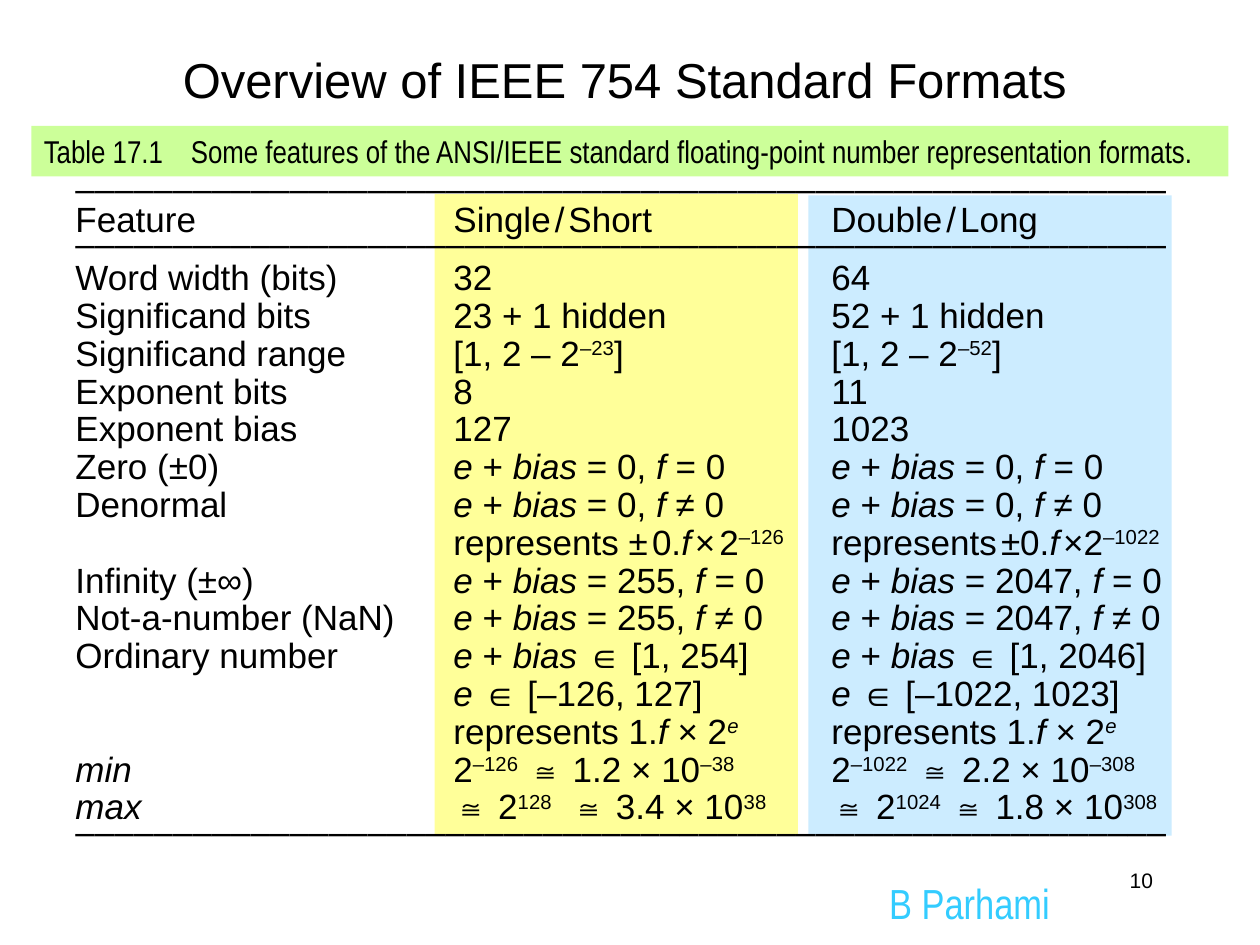
"""Build a slide that compares the IEEE 754 single and double formats."""
from itertools import groupby

from lxml import etree
from pptx import Presentation
from pptx import util as u
from pptx.dml.color import RGBColor
from pptx.enum import shapes, text
from pptx.oxml.ns import qn

CELL = u.Inches(10) // 120
RULE = "–" * 56
HEADER = ("Feature", "Single~/~Short", "Double~/~Long")
ROWS = [
    ("Word width (bits)", "32", "64"),
    ("Significand bits", "23 + 1 hidden", "52 + 1 hidden"),
    ("Significand range", "[1, 2 – 2^–23^]", "[1, 2 – 2^–52^]"),
    ("Exponent bits", "8", "11"),
    ("Exponent bias", "127", "1023"),
    ("Zero (±0)", "_e_ + _bias_ = 0, _f_ = 0", "_e_ + _bias_ = 0, _f_ = 0"),
    ("Denormal", "_e_ + _bias_ = 0, _f_ ≠ 0", "_e_ + _bias_ = 0, _f_ ≠ 0"),
    ("", "represents ±~0._f_~×~2^–126^", "represents~±0._f_~×2^–1022^"),
    ("Infinity (±∞)", "_e_ + _bias_ = 255, _f_ = 0", "_e_ + _bias_ = 2047, _f_ = 0"),
    ("Not-a-number (NaN)", "_e_ + _bias_ = 255, _f_ ≠ 0", "_e_ + _bias_ = 2047, _f_ ≠ 0"),
    ("Ordinary number", "_e_ + _bias_ ∈ [1, 254]", "_e_ + _bias_ ∈ [1, 2046]"),
    ("", "_e_ ∈ [–126, 127]", "_e_ ∈ [–1022, 1023]"),
    ("", "represents 1._f_ × 2^_e_^", "represents 1._f_ × 2^_e_^"),
    ("_min_", "2^–126^ ≅ 1.2 × 10^–38^", "2^–1022^ ≅ 2.2 × 10^–308^"),
    ("_max_", "≅ 2^128^  ≅ 3.4 × 10^38^", "≅ 2^1024^ ≅ 1.8 × 10^308^"),
]


def color(value):
    """Turn a hex string into a colour."""
    return RGBColor.from_string(value)


def grid(box):
    """Turn left, top, width and height in grid cells into lengths."""
    return [u.Emu(round(part * CELL)) for part in box]


def add_band(slide, box, fill):
    """Add a plain filled rectangle."""
    shape = slide.shapes.add_shape(shapes.MSO_SHAPE.RECTANGLE, *grid(box))
    shape.shadow.inherit = False
    shape.fill.solid()
    shape.fill.fore_color.rgb = color(fill)
    shape.line.fill.background()
    return shape


def set_font(paragraph, size, name="Arial", fill="000000"):
    """Set the font of a whole paragraph."""
    paragraph.font.size = u.Pt(size)
    paragraph.font.name = name
    paragraph.font.color.rgb = color(fill)


def add_tabs(paragraph, *columns):
    """Give a paragraph left tab stops at the given grid columns."""
    tabs = etree.SubElement(paragraph._p.get_or_add_pPr(), qn("a:tabLst"))
    for column in columns:
        etree.SubElement(tabs, qn("a:tab"), pos=str(column * CELL), algn="l")


def styled_pieces(markup):
    """Yield text with its style: _italic_, ^superscript^ and ~ for a thin space."""
    italic = raised = False
    letters = []
    for letter in markup:
        if letter == "_":
            italic = not italic
        elif letter == "^":
            raised = not raised
        else:
            letters.append((letter, (italic, raised, letter == "~")))
    for style, group in groupby(letters, key=lambda item: item[1]):
        yield "".join(item[0] for item in group).replace("~", " "), style


def fill_line(paragraph, markup, spacing):
    """Write one line of the comparison with its tab stops."""
    paragraph.line_spacing = spacing
    add_tabs(paragraph, 36, 72)
    set_font(paragraph, 20)
    for piece, (italic, raised, thin) in styled_pieces(markup):
        run = paragraph.add_run()
        run.text = piece
        if italic:
            run.font.italic = True
        if raised:
            run.font._element.set("baseline", "30000")
        if thin:
            run.font.size = u.Pt(8)


def add_title(slide, box, wording):
    """Place and format the title placeholder."""
    title = slide.shapes.title
    title.left, title.top, title.width, title.height = grid(box)
    frame = title.text_frame
    frame.text = wording
    frame.auto_size = text.MSO_AUTO_SIZE.NONE
    frame.vertical_anchor = text.MSO_ANCHOR.MIDDLE
    frame.paragraphs[0].alignment = text.PP_ALIGN.CENTER
    set_font(frame.paragraphs[0], 28)


def add_comparison(slide, box):
    """Add the coloured column bands and the tabbed comparison over them."""
    left, top, width, height = box
    add_band(slide, (left + 35.4, top + 1.5, 34.6, 61), "FFFF99")
    add_band(slide, (left + 71, top + 1.6, 34.6, 61), "CCECFF")
    frame = slide.shapes.add_textbox(*grid(box)).text_frame
    frame.word_wrap = True
    lines = [(RULE, 0.5), ("\t".join(HEADER), 0.8), (RULE, 0.5)]
    lines += [("\t".join(row), 0.9) for row in ROWS]
    lines.append((RULE, 0.5))
    for index, (markup, spacing) in enumerate(lines):
        paragraph = frame.add_paragraph() if index else frame.paragraphs[0]
        fill_line(paragraph, markup, spacing)


def add_caption(slide, box, number, wording):
    """Add the table caption on its green band."""
    frame = add_band(slide, box, "CCFF99").text_frame
    frame.word_wrap = True
    frame.vertical_anchor = text.MSO_ANCHOR.TOP
    paragraph = frame.paragraphs[0]
    paragraph.text = f"{number}\t{wording}"
    paragraph.alignment = text.PP_ALIGN.LEFT
    add_tabs(paragraph, 14)
    set_font(paragraph, 18, "Arial Narrow")


def add_label(slide, box, wording, alignment, **font):
    """Add a one-line label."""
    frame = slide.shapes.add_textbox(*grid(box)).text_frame
    frame.word_wrap = True
    paragraph = frame.paragraphs[0]
    paragraph.text = wording
    paragraph.alignment = alignment
    set_font(paragraph, **font)


def main():
    """Build and save the presentation."""
    presentation = Presentation()
    presentation.slide_width, presentation.slide_height = grid((120, 90))
    slide = presentation.slides.add_slide(presentation.slide_layouts[5])
    add_label(slide, (83.5, 83, 19, 5), "B Parhami", text.PP_ALIGN.LEFT,
              size=24, name="Arial Narrow", fill="33CCFF")
    add_title(slide, (5, 2, 109, 11), "Overview of IEEE 754 Standard Formats")
    add_comparison(slide, (6, 17, 110, 68))
    add_caption(slide, (3, 12, 114, 4.8), "Table 17.1",
                "Some features of the ANSI/IEEE standard floating-point "
                "number representation formats.")
    add_label(slide, (86, 82, 25, 6), "10", text.PP_ALIGN.RIGHT, size=12)
    presentation.save("out.pptx")


if __name__ == "__main__":
    main()
